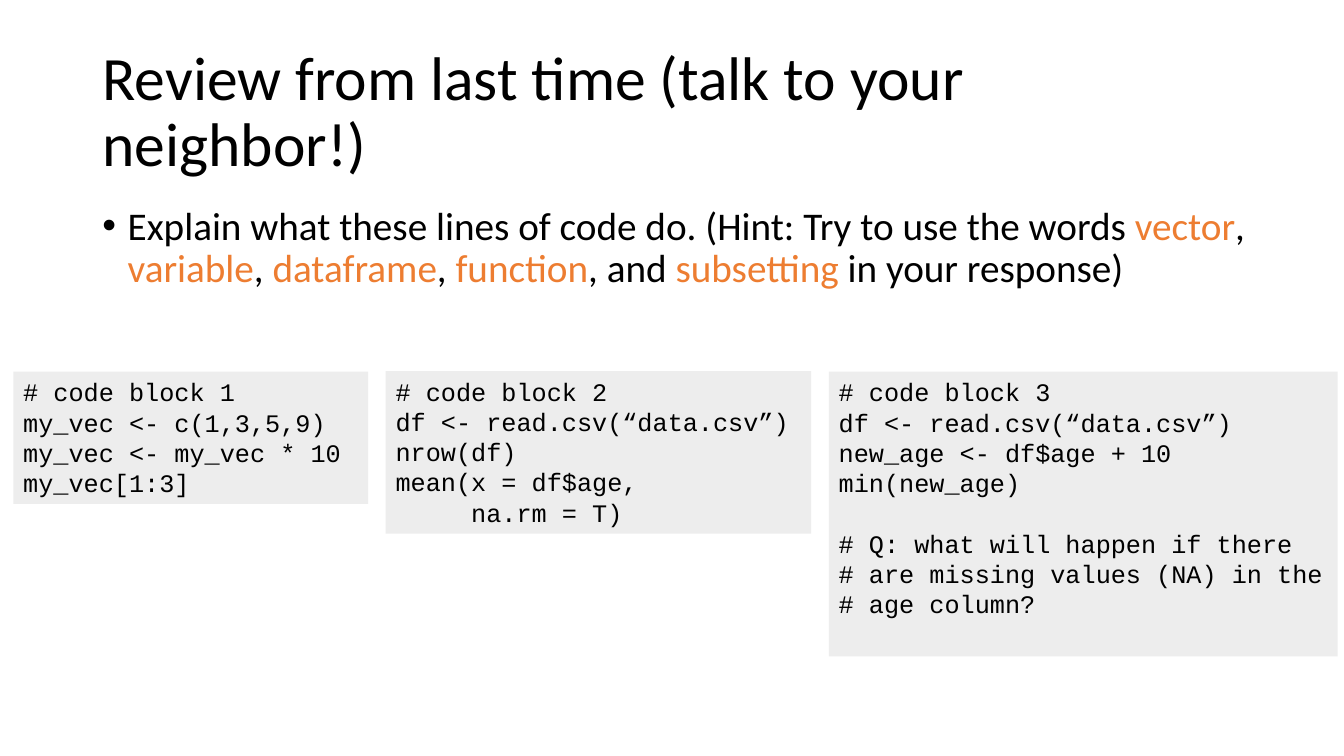
import pptx
import pptx.dml.color
import pptx.enum.shapes
import pptx.enum.text
import pptx.util

Pt = pptx.util.Pt

COLORS = {"text": "000000", "keyword": "ED7D31", "code_fill": "EDEDED"}
TEXT_FONT, CODE_FONT = "Calibri", "Courier New"
TITLE_SIZE, BODY_SIZE, CODE_SIZE = 44, 28, 18

TITLE = "Review from last time (talk to your neighbor!)"
# (text, is a keyword)
PROMPT = [
    ("Explain what these lines of code do. (Hint: Try to use the words ", False),
    ("vector", True),
    (", ", False),
    ("variable", True),
    (", ", False),
    ("dataframe", True),
    (", ", False),
    ("function", True),
    (", and ", False),
    ("subsetting", True),
    (" in your response)", False),
]
# Code lines are (text, indent in characters, empty rows above)
CODE_BLOCKS = [
    {"left": 9.5, "top": 265.5, "width": 253.5, "rows": 4, "lines": [
        ("# code block 1", 0, 0),
        ("my_vec <- c(1,3,5,9)", 0, 0),
        ("my_vec <- my_vec * 10", 0, 0),
        ("my_vec[1:3]", 0, 0),
    ]},
    {"left": 275.5, "top": 265, "width": 304, "rows": 5, "lines": [
        ("# code block 2", 0, 0),
        ("df <- read.csv(“data.csv”)", 0, 0),
        ("nrow(df)", 0, 0),
        ("mean(x = df$age,", 0, 0),
        ("na.rm = T)", 5, 0),
    ]},
    {"left": 592, "top": 265.5, "width": 363.5, "rows": 9, "lines": [
        ("# code block 3", 0, 0),
        ("df <- read.csv(“data.csv”)", 0, 0),
        ("new_age <- df$age + 10", 0, 0),
        ("min(new_age)", 0, 0),
        ("# Q: what will happen if there", 0, 1),
        ("# are missing values (NA) in the", 0, 0),
        ("# age column?", 0, 0),
    ]},
]
ROW_HEIGHT = 21.8
CHARACTER_WIDTH = 0.6 * CODE_SIZE
BOX_PADDING = 7.2


def rgb(name):
    return pptx.dml.color.RGBColor.from_string(COLORS[name])


def place(shape, left, top, width, height):
    shape.left, shape.top = Pt(left), Pt(top)
    shape.width, shape.height = Pt(width), Pt(height)


def format_run(run, font_name, size, color="text"):
    run.font.name = font_name
    run.font.size = Pt(size)
    run.font.color.rgb = rgb(color)


def set_indent(paragraph, margin, first_line=0):
    properties = paragraph._p.get_or_add_pPr()
    properties.set("marL", str(Pt(margin)))
    properties.set("indent", str(Pt(first_line)))


def prepare_frame(text_frame, anchor):
    text_frame.word_wrap = True
    text_frame.auto_size = pptx.enum.text.MSO_AUTO_SIZE.NONE
    text_frame.vertical_anchor = anchor


def add_title(slide):
    title = slide.shapes.title
    place(title, 66, 28.8, 820, 104.4)
    prepare_frame(title.text_frame, pptx.enum.text.MSO_ANCHOR.MIDDLE)
    title.text_frame.text = TITLE
    paragraph = title.text_frame.paragraphs[0]
    paragraph.alignment = pptx.enum.text.PP_ALIGN.LEFT
    paragraph.line_spacing = 0.9
    format_run(paragraph.runs[0], TEXT_FONT, TITLE_SIZE)


def add_prompt(slide):
    body = slide.placeholders[1]
    place(body, 66, 144, 852.5, 126)
    prepare_frame(body.text_frame, pptx.enum.text.MSO_ANCHOR.TOP)
    paragraph = body.text_frame.paragraphs[0]
    paragraph.line_spacing = 0.9
    paragraph.space_before = Pt(10)
    set_indent(paragraph, 18, -18)
    for text, is_keyword in PROMPT:
        run = paragraph.add_run()
        run.text = text
        format_run(run, TEXT_FONT, BODY_SIZE, "keyword" if is_keyword else "text")


def add_code_block(slide, block):
    box = slide.shapes.add_shape(pptx.enum.shapes.MSO_SHAPE.RECTANGLE, 0, 0, 0, 0)
    height = block["rows"] * ROW_HEIGHT + BOX_PADDING
    place(box, block["left"], block["top"], block["width"], height)
    box.shadow.inherit = False
    box.fill.solid()
    box.fill.fore_color.rgb = rgb("code_fill")
    box.line.fill.background()
    prepare_frame(box.text_frame, pptx.enum.text.MSO_ANCHOR.TOP)
    box.text_frame.text = "\n".join(text for text, _, _ in block["lines"])
    for paragraph, (_, indent, rows_above) in zip(box.text_frame.paragraphs, block["lines"]):
        paragraph.alignment = pptx.enum.text.PP_ALIGN.LEFT
        set_indent(paragraph, indent * CHARACTER_WIDTH)
        paragraph.space_before = Pt(rows_above * ROW_HEIGHT)
        format_run(paragraph.runs[0], CODE_FONT, CODE_SIZE)


def main():
    presentation = pptx.Presentation()
    presentation.slide_width, presentation.slide_height = Pt(960), Pt(540)
    slide = presentation.slides.add_slide(presentation.slide_layouts[1])
    add_title(slide)
    add_prompt(slide)
    for block in CODE_BLOCKS:
        add_code_block(slide, block)
    presentation.save("out.pptx")


if __name__ == "__main__":
    main()
